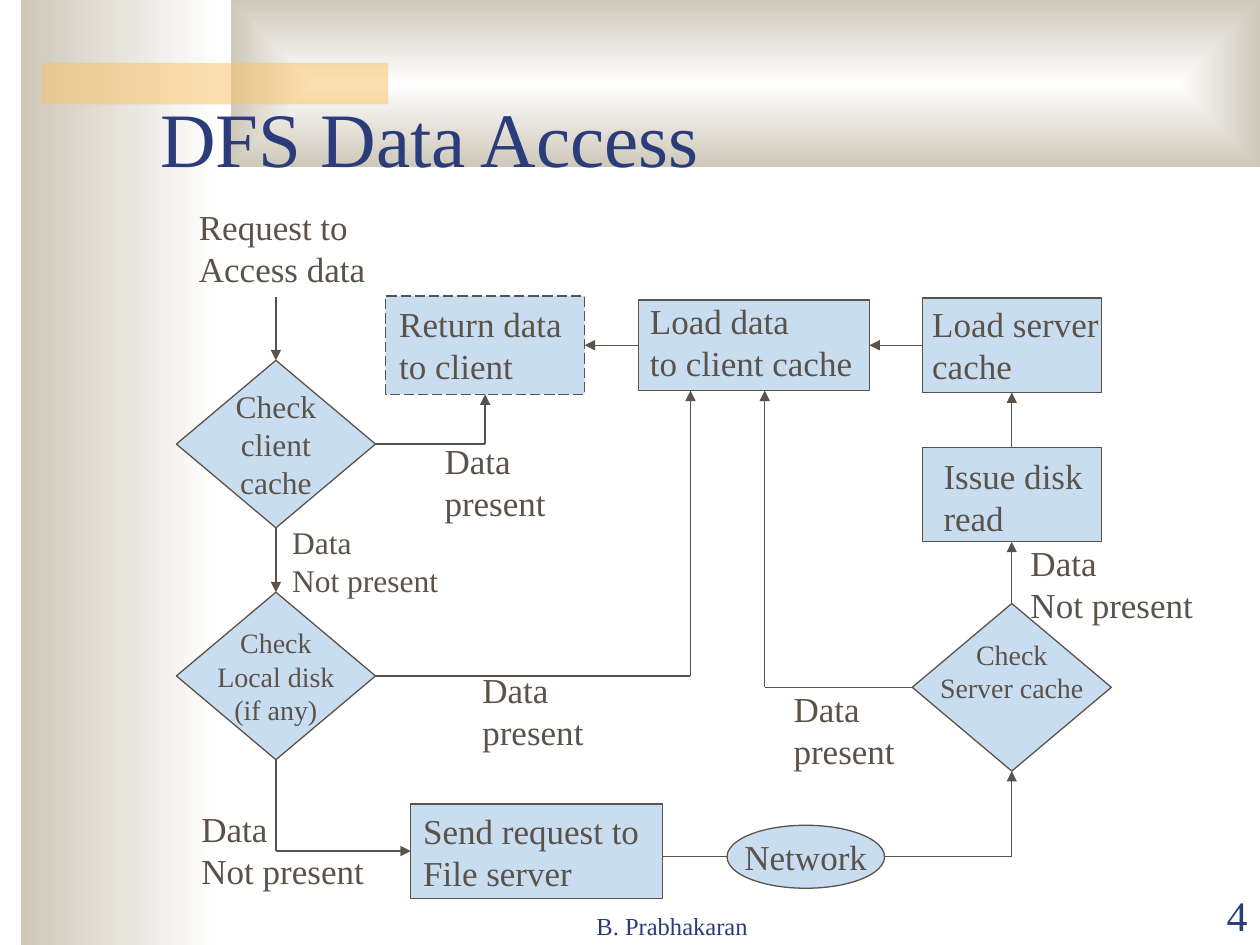
from dataclasses import dataclass
from typing import Optional

from lxml.etree import SubElement
from pptx import Presentation
from pptx.dml.color import RGBColor
from pptx.enum.dml import MSO_LINE
from pptx.enum.shapes import MSO_CONNECTOR, MSO_SHAPE
from pptx.enum.text import MSO_ANCHOR, MSO_AUTO_SIZE, PP_ALIGN
from pptx.oxml.ns import qn
from pptx.util import Emu, Inches, Pt

COLORS = {"ink": "5B5249", "node": "C9DDF1", "navy": "2A3D7A",
          "sand": "CEC8BA", "white": "FFFFFF", "amber": "FAC164"}
FONT = "Times New Roman"
CELL = Inches(10) // 100
TOP, LEFT, BOTTOM, RIGHT = range(4)
DIAMOND = MSO_SHAPE.FLOWCHART_DECISION
PROCESS = MSO_SHAPE.FLOWCHART_PROCESS
BOX = MSO_SHAPE.RECTANGLE


@dataclass
class Area:
    """A rectangle in columns and rows of a 100 by 75 grid."""
    column: float
    row: float
    columns: float
    rows: float

    def lengths(self) -> list[Emu]:
        return [grid(n) for n in (self.column, self.row, self.columns, self.rows)]


@dataclass
class Node:
    """A step of the flowchart."""
    name: str
    kind: MSO_SHAPE
    area: Area
    text: str = ""
    size: int = 20
    align: PP_ALIGN = PP_ALIGN.CENTER
    bottom_inset: float = 0.5
    dashed: bool = False


@dataclass
class Label:
    """Free text on the flowchart."""
    text: str
    column: float
    row: float
    columns: float
    rows: float = 7.7
    size: int = 20


@dataclass
class Flow:
    """A path through grid points, optionally joined to nodes at its ends."""
    points: list[tuple[float, float]]
    start: Optional[tuple[str, int]] = None
    end: Optional[tuple[str, int]] = None
    arrow: bool = True


NODES = [
    Node("issue read", BOX, Area(73.2, 35.5, 14.2, 7.5)),
    Node("check client", DIAMOND, Area(14, 28.6, 15.8, 13.3), "Check\nclient\ncache", 18),
    Node("check disk", DIAMOND, Area(14, 47, 15.8, 13.3), "Check\nLocal disk\n(if any)", 16),
    Node("send request", PROCESS, Area(32.6, 63.8, 20, 7.5),
         "Send request to\nFile server", align=PP_ALIGN.LEFT),
    Node("network", MSO_SHAPE.OVAL, Area(57.7, 65.5, 12.5, 5), "Network"),
    Node("check server", DIAMOND, Area(72.4, 47.9, 15.8, 13.3),
         "Check\nServer cache", 16, bottom_inset=3.1),
    Node("load server", BOX, Area(73.2, 23.65, 14.2, 7.5)),
    Node("load client", BOX, Area(50.7, 23.8, 18.3, 7.2)),
    Node("return data", BOX, Area(30.6, 23.5, 15.8, 7.8), dashed=True),
]

LABELS = [
    Label("Issue disk\nread", 73.9, 35.6, 13.6),
    Label("Load server\ncache", 73, 23.5, 15.8),
    Label("Load data\nto client cache", 50.6, 23.3, 18.6),
    Label("Return data\nto client", 30.7, 23.5, 15.5),
    Label("Request to\nAccess data", 14.8, 15.8, 15.8),
    Label("Data\nNot present", 22.2, 41, 14.2, 7, 18),
    Label("Data\npresent", 34.3, 34.4, 10.6),
    Label("Data\nNot present", 15, 63.6, 15.5),
    Label("Data\nNot present", 80.8, 42.5, 15.5),
    Label("Data\npresent", 62, 54.1, 10.6),
    Label("Data\npresent", 37.3, 52.6, 10.6),
]

FLOWS = [
    Flow([(21.9, 23.6), (21.9, 28.6)], end=("check client", TOP)),
    Flow([(21.9, 41.9), (21.9, 47)], ("check client", BOTTOM), ("check disk", TOP)),
    Flow([(21.9, 60.3), (21.9, 67.55), (32.6, 67.55)],
         ("check disk", BOTTOM), ("send request", LEFT)),
    Flow([(52.6, 68), (57.7, 68)], arrow=False),
    Flow([(70.2, 68), (80.3, 68), (80.3, 61.2)], end=("check server", BOTTOM)),
    Flow([(80.3, 47.9), (80.3, 43)], ("check server", TOP), ("issue read", BOTTOM)),
    Flow([(80.3, 35.5), (80.3, 31.15)], ("issue read", TOP), ("load server", BOTTOM)),
    Flow([(73.2, 27.4), (69, 27.4)], ("load server", LEFT), ("load client", RIGHT)),
    Flow([(50.7, 27.4), (46.4, 27.4)], ("load client", LEFT), ("return data", RIGHT)),
    Flow([(72.4, 54.55), (60.7, 54.55), (60.7, 31)], ("check server", LEFT)),
    Flow([(29.8, 35.25), (38.5, 35.25), (38.5, 31.3)],
         ("check client", RIGHT), ("return data", BOTTOM)),
    Flow([(29.8, 53.65), (54.8, 53.65), (54.8, 31)], ("check disk", RIGHT)),
]


def grid(cells: float) -> Emu:
    """Turn grid cells into a length."""
    return Emu(round(cells * CELL))


def color(name: str) -> RGBColor:
    """Look up a colour by name."""
    return RGBColor.from_string(COLORS[name])


def write(frame, text: str, size: int, ink: str, align: PP_ALIGN,
          anchor: MSO_ANCHOR, wrap: bool = True) -> None:
    """Fill a text frame with evenly formatted paragraphs."""
    frame.text = text
    frame.word_wrap = wrap
    frame.auto_size = MSO_AUTO_SIZE.NONE
    frame.vertical_anchor = anchor
    for para in frame.paragraphs:
        para.alignment = align
        para.font.name, para.font.size = FONT, Pt(size)
        para.font.color.rgb = color(ink)


def add_panel(page, area: Area):
    """Add a borderless backdrop rectangle."""
    panel = page.shapes.add_shape(BOX, *area.lengths())
    panel.shadow.inherit = False
    panel.line.fill.background()
    return panel


def add_gradient_panel(page, area: Area, framed: bool) -> None:
    """Add a white-to-sand panel, shaded sideways or towards its frame."""
    panel = add_panel(page, area)
    panel.fill.gradient()
    panel.fill.gradient_angle = 180
    for position, (stop, name) in enumerate(zip(panel.fill.gradient_stops, ("white", "sand"))):
        stop.color.rgb = color(name)
        stop.position = position
    if framed:
        linear = next(panel.element.iter(qn("a:lin")))
        gradient = linear.getparent()
        gradient.remove(linear)
        shade = SubElement(gradient, qn("a:path"), {"path": "rect"})
        SubElement(shade, qn("a:fillToRect"), dict.fromkeys("ltrb", "50000"))


def add_backdrop(page) -> None:
    """Add the side band, the top band and the translucent bar."""
    add_gradient_panel(page, Area(1.7, 0, 15.8, 75), framed=False)
    add_gradient_panel(page, Area(18.3, 0, 81.7, 13.3), framed=True)
    bar = add_panel(page, Area(3.3, 5, 27.5, 3.3))
    bar.fill.solid()
    bar.fill.fore_color.rgb = color("amber")
    tint = next(bar.element.spPr.iter(qn("a:srgbClr")))
    SubElement(tint, qn("a:alpha"), {"val": "50000"})


def add_title(page, text: str) -> None:
    """Place the title above the backdrop."""
    title = page.shapes.title
    title.left, title.top, title.width, title.height = Area(11.7, 2.5, 85, 12.5).lengths()
    write(title.text_frame, text, 44, "navy", PP_ALIGN.LEFT, MSO_ANCHOR.BOTTOM)
    title.element.getparent().append(title.element)


def add_node(page, node: Node):
    """Add one step of the flowchart."""
    shape = page.shapes.add_shape(node.kind, *node.area.lengths())
    shape.shadow.inherit = False
    shape.fill.solid()
    shape.fill.fore_color.rgb = color("node")
    shape.line.color.rgb = color("ink")
    shape.line.width = Pt(0.75)
    if node.dashed:
        shape.line.dash_style = MSO_LINE.LONG_DASH
    if node.text:
        shape.text_frame.margin_bottom = grid(node.bottom_inset)
        write(shape.text_frame, node.text, node.size, "ink", node.align,
              MSO_ANCHOR.MIDDLE, wrap=False)
    return shape


def add_text(page, text: str, area: Area, size: int, ink: str = "ink",
             align: PP_ALIGN = PP_ALIGN.LEFT, anchor: MSO_ANCHOR = MSO_ANCHOR.TOP) -> None:
    """Add a text box."""
    frame = page.shapes.add_textbox(*area.lengths()).text_frame
    write(frame, text, size, ink, align, anchor)


def add_flow(page, flow: Flow, shapes: dict) -> None:
    """Draw a path as straight connectors with an arrowhead on the last."""
    lines = []
    for start, end in zip(flow.points, flow.points[1:]):
        line = page.shapes.add_connector(
            MSO_CONNECTOR.STRAIGHT, *(grid(n) for n in (*start, *end)))
        line.line.color.rgb = color("ink")
        line.line.width = Pt(0.75)
        SubElement(line.element.spPr, qn("a:effectLst"))
        lines.append(line)
    if flow.arrow:
        outline = lines[-1].element.spPr.get_or_add_ln()
        SubElement(outline, qn("a:tailEnd"), {"type": "triangle"})
    if flow.start:
        lines[0].begin_connect(shapes[flow.start[0]], flow.start[1])
    if flow.end:
        lines[-1].end_connect(shapes[flow.end[0]], flow.end[1])


def main() -> None:
    """Build the slide."""
    deck = Presentation()
    deck.slide_width, deck.slide_height = grid(100), grid(75)
    page = deck.slides.add_slide(deck.slide_layouts[5])
    add_backdrop(page)
    add_title(page, "DFS Data Access")
    shapes = {node.name: add_node(page, node) for node in NODES}
    for label in LABELS:
        area = Area(label.column, label.row, label.columns, label.rows)
        add_text(page, label.text, area, label.size)
    for flow in FLOWS:
        add_flow(page, flow, shapes)
    for text, area, size, align in (
            ("B. Prabhakaran", Area(37.5, 70.1, 31.7, 5), 14, PP_ALIGN.CENTER),
            ("4", Area(90, 70.1, 10, 5), 24, PP_ALIGN.RIGHT)):
        add_text(page, text, area, size, "navy", align, MSO_ANCHOR.BOTTOM)
    deck.save("out.pptx")


if __name__ == "__main__":
    main()
